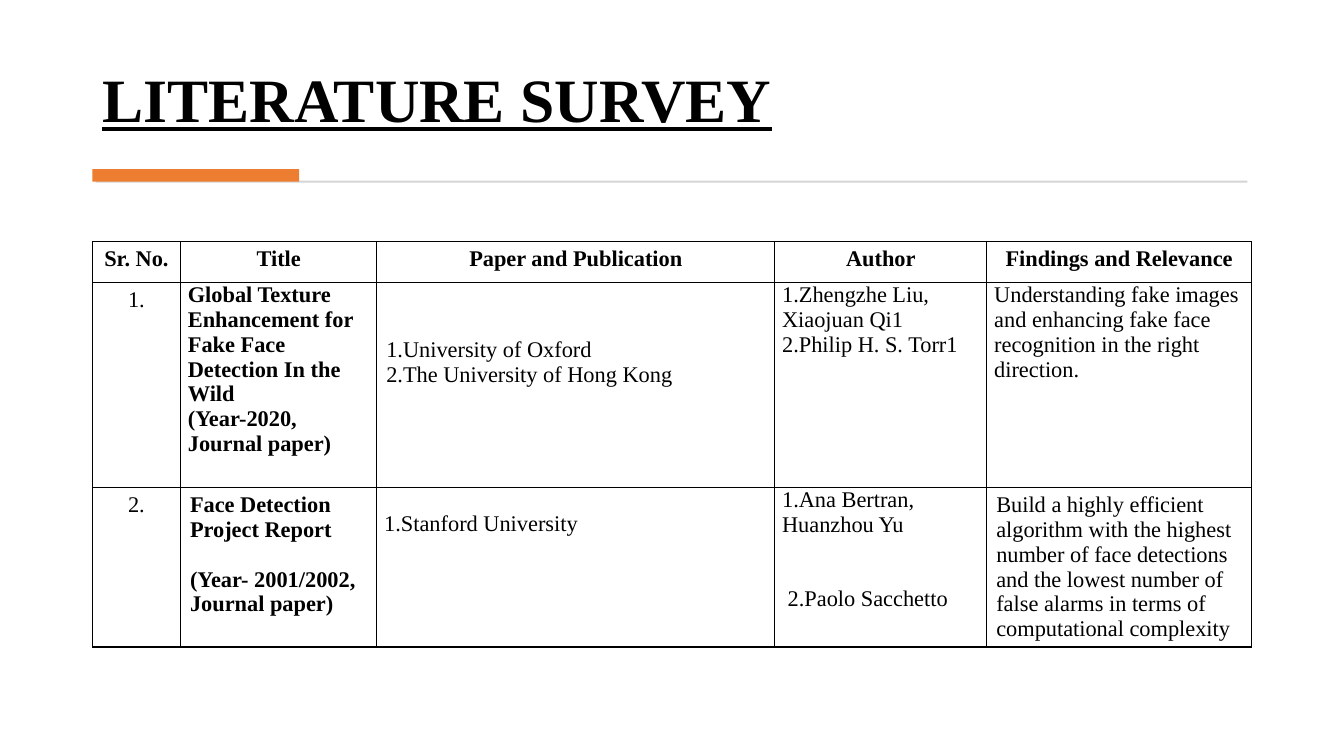
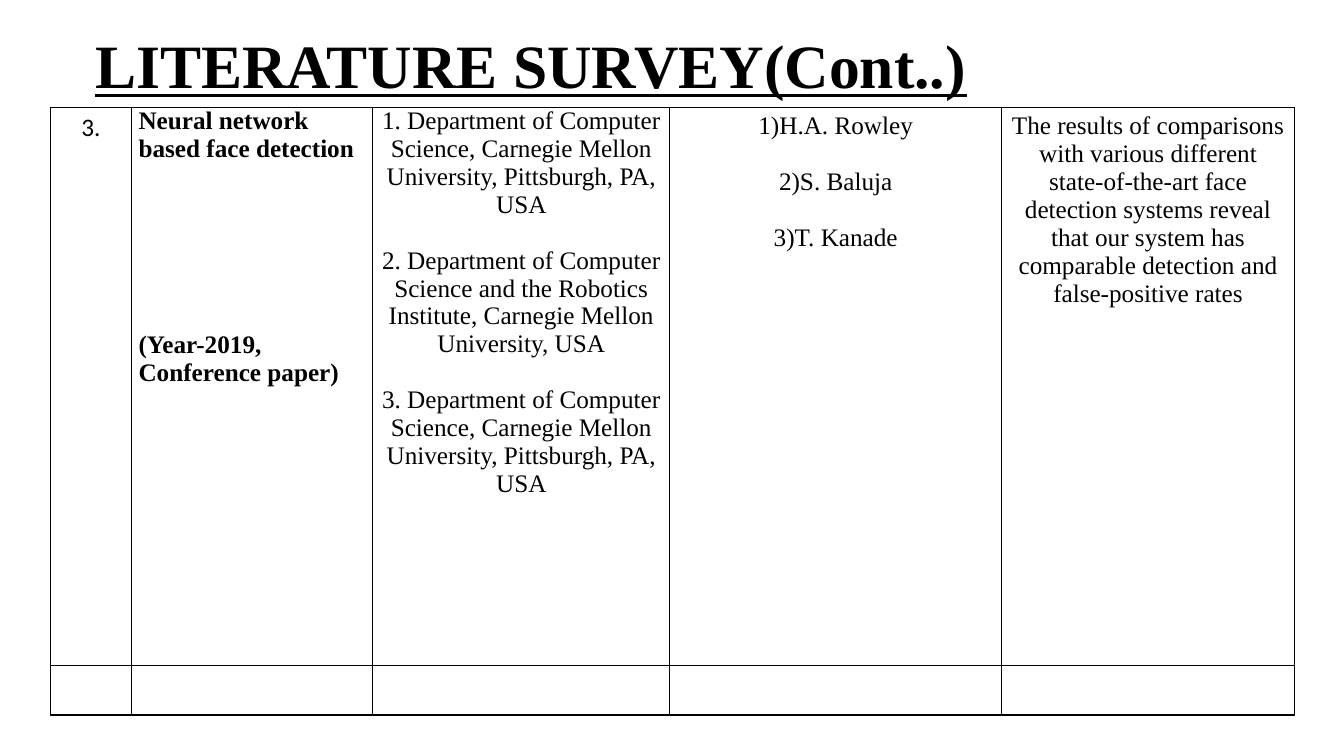
from lxml import etree
from pptx import Presentation
from pptx import util as u
from pptx.dml.color import RGBColor
from pptx.enum import shapes, text
from pptx.oxml.ns import qn

PX = 9525
BLACK, ORANGE, GREY = "000000", "ED7D31", "D5D5D5"
SERIF = "Times New Roman"
LINE = 1.11  # height of a text line, in font sizes
TIGHT, ROOMY = (7, 0), (9, 5)  # cell margins: sides, top and bottom


def cell(*lines, bold=False, center=False, inset=TIGHT, font=SERIF):
    """One cell; a line is its text, or (empty lines above it, text)."""
    pairs = [ln if isinstance(ln, tuple) else (0, ln) for ln in lines]
    return dict(lines=pairs, bold=bold, center=center, inset=inset, font=font)


def centered(*lines, **options):
    return cell(*lines, center=True, **{"inset": ROOMY, **options})


HEADINGS = ["Sr. No.", "Title", "Paper and Publication", "Author",
            "Findings and Relevance"]
SLIDES = [
    dict(
        title="LITERATURE SURVEY", title_at=(88, 27),
        bars=[(91, 172, 1097, 2, GREY), (88, 161, 197, 12, ORANGE)],
        table_at=(88, 230), size=16,
        cols=[84, 187, 379, 202, 252], heights=[39, 195, 150],
        rows=[
            [centered(h, bold=True) for h in HEADINGS],
            [centered("1."),
             cell("Global Texture Enhancement for Fake Face Detection In the Wild",
                  "(Year-2020, Journal paper)", bold=True),
             cell((2, "1.University of Oxford"), "2.The University of Hong Kong",
                  inset=ROOMY),
             cell("1.Zhengzhe Liu, Xiaojuan Qi1", "2.Philip H. S. Torr1"),
             cell("Understanding fake images and enhancing fake face "
                  "recognition in the right direction.")],
            [centered("2."),
             cell("Face Detection Project Report",
                  (1, "(Year- 2001/2002, Journal paper)"), bold=True, inset=ROOMY),
             cell((1, "1.Stanford University")),
             cell("1.Ana Bertran, Huanzhou Yu", (2, " 2.Paolo Sacchetto")),
             cell("Build a highly efficient algorithm with the highest number of "
                  "face detections and the lowest number of false alarms in terms "
                  "of computational complexity", inset=ROOMY)],
        ]),
    dict(
        title="LITERATURE SURVEY(Cont..)", title_at=(81, -5), bars=[],
        table_at=(48, 102), size=18,
        cols=[77, 230, 283, 316, 279], heights=[532, 47],
        rows=[
            [centered("3.", font="Calibri"),
             cell("Neural network based face detection",
                  (6, "(Year-2019, Conference paper)"), bold=True),
             centered("1. Department of Computer Science, Carnegie Mellon "
                      "University, Pittsburgh, PA, USA",
                      (1, "2. Department of Computer Science and the Robotics "
                          "Institute, Carnegie Mellon University, USA"),
                      (1, "3. Department of Computer Science, Carnegie Mellon "
                          "University, Pittsburgh, PA, USA"), inset=TIGHT),
             centered("1)H.A. Rowley", (1, "2)S. Baluja"), (1, "3)T. Kanade")),
             centered("The results of comparisons with various different "
                      "state-of-the-art face detection systems reveal that our "
                      "system has comparable detection and false-positive rates")],
            [cell()] * 5,
        ]),
]


def px(*lengths):
    return [u.Emu(n * PX) for n in lengths]


def color(value):
    return RGBColor.from_string(value)


def style(p, size, font, bold, align):
    p.alignment = align
    for r in p.runs:
        r.font.size, r.font.name, r.font.bold = u.Pt(size), font, bold
        r.font.color.rgb = color(BLACK)


def add_title(slide, title, at):
    sp = slide.shapes.title
    sp.left, sp.top, sp.width, sp.height = px(*at, 1103, 107)
    tf = sp.text_frame
    tf.text = title
    tf.word_wrap = True
    tf.auto_size = text.MSO_AUTO_SIZE.NONE
    tf.vertical_anchor = text.MSO_ANCHOR.BOTTOM
    p = tf.paragraphs[0]
    p.line_spacing = 0.9
    style(p, 44, SERIF, True, text.PP_ALIGN.LEFT)
    p.runs[0].font.underline = True


def add_bar(slide, x, y, w, h, fill):
    sp = slide.shapes.add_shape(shapes.MSO_SHAPE.RECTANGLE, *px(x, y, w, h))
    sp.shadow.inherit = False
    sp.fill.solid()
    sp.fill.fore_color.rgb = color(fill)
    sp.line.fill.background()


def add_borders(tc):
    pr = tc.get_or_add_tcPr()
    for side in ("lnL", "lnR", "lnT", "lnB"):
        ln = etree.SubElement(pr, qn("a:" + side), w=str(u.Pt(1)))
        fill = etree.SubElement(ln, qn("a:solidFill"))
        etree.SubElement(fill, qn("a:srgbClr"), val=BLACK)


def fill_cell(c, data, size):
    add_borders(c._tc)
    c.fill.background()
    side, edge = px(*data["inset"])
    c.margin_left = c.margin_right = side
    c.margin_top = c.margin_bottom = edge
    align = text.PP_ALIGN.CENTER if data["center"] else text.PP_ALIGN.LEFT
    tf = c.text_frame
    for i, (empty, line) in enumerate(data["lines"]):
        p = tf.add_paragraph() if i else tf.paragraphs[0]
        p.text = line
        gap = u.Pt(empty * size * LINE)
        if i:
            p.space_before = gap
        else:
            c.margin_top = edge + gap
        style(p, size, data["font"], data["bold"], align)


def add_survey(slide, at, cols, heights, rows, size):
    frame = slide.shapes.add_table(len(rows), len(cols),
                                   *px(*at, sum(cols), sum(heights)))
    table = frame.table
    table.first_row = table.horz_banding = False
    for col, w in zip(table.columns, px(*cols)):
        col.width = w
    for row, h, cells in zip(table.rows, px(*heights), rows):
        row.height = h
        for c, data in zip(row.cells, cells):
            fill_cell(c, data, size)


def main():
    prs = Presentation()
    prs.slide_width, prs.slide_height = px(1280, 720)
    title_only = prs.slide_layouts[5]
    for d in SLIDES:
        s = prs.slides.add_slide(title_only)
        add_title(s, d["title"], d["title_at"])
        for bar in d["bars"]:
            add_bar(s, *bar)
        add_survey(s, d["table_at"], d["cols"], d["heights"], d["rows"], d["size"])
    prs.save("out.pptx")


if __name__ == "__main__":
    main()
